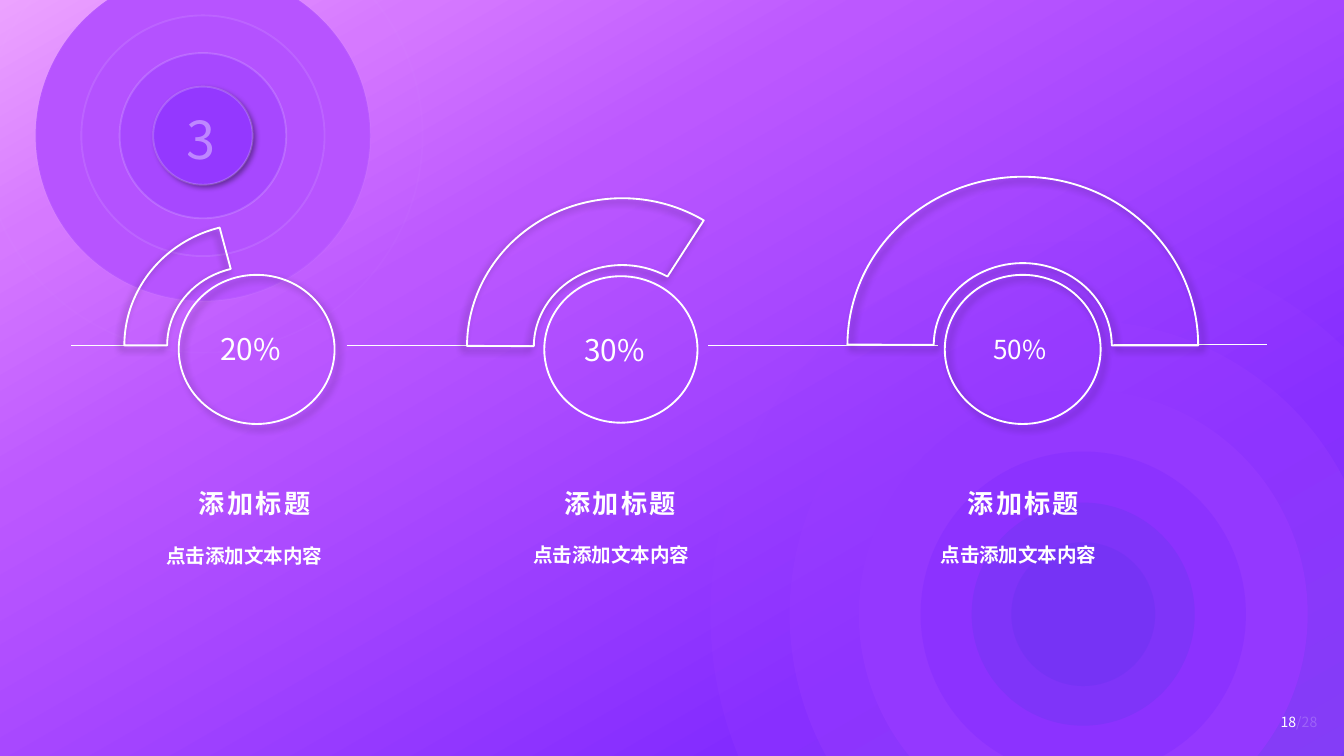
import pptx
import pptx.util
import pptx.dml.color
import pptx.enum.shapes
import pptx.enum.text
import pptx.oxml
import pptx.oxml.ns
from lxml import etree

Inches, Pt = pptx.util.Inches, pptx.util.Pt
RGBColor = pptx.dml.color.RGBColor
MSO_SHAPE = pptx.enum.shapes.MSO_SHAPE
CENTER = pptx.enum.text.PP_ALIGN.CENTER
qn = pptx.oxml.ns.qn

FONT = "Noto Sans CJK SC"
WHITE = RGBColor(0xFF, 0xFF, 0xFF)
BLACK = RGBColor(0, 0, 0)
VIOLET = RGBColor(0x94, 0x38, 0xFF)

WIDTH = 10
HEIGHT = WIDTH * 9 / 16
GRADIENT_ANGLE = 60
GRADIENT = [
    (0, RGBColor(0xEC, 0xA3, 0xFF)),
    (16, RGBColor(0xD6, 0x79, 0xFF)),
    (33, RGBColor(0xBC, 0x58, 0xFF)),
    (77, RGBColor(0x83, 0x2B, 0xFF)),
    (100, RGBColor(0x6D, 0x3F, 0xEF)),
]

# Shadows: blur, distance (points), direction (degrees)
BADGE_SHADOW = (3, 2, 45)
RIGHT_SHADOW = (4, 3, 45)
LEFT_SHADOW = (4, 3, 135)

# Rings: width, height, fill, fill opacity, outline opacity, shadow
BADGE_CENTER = (1.51, 1.01)
BADGE_RINGS = [
    (2.49, 2.46, RGBColor(0xB7, 0x54, 0xFF), 100, 4, None),
    (1.81, 1.79, RGBColor(0xB4, 0x52, 0xFF), 100, 9, None),
    (1.24, 1.23, RGBColor(0xA7, 0x48, 0xFF), 100, 16, None),
    (0.74, 0.73, VIOLET, 100, 18, BADGE_SHADOW),
    (3.27, 3.23, None, 100, 2, None),
]
GLOW_CENTER = (8.06, 4.57)
GLOW_RINGS = [
    (5.55, RGBColor(0x9C, 0x3F, 0xFF), 20),
    (4.37, RGBColor(0x99, 0x3C, 0xFF), 40),
    (3.34, VIOLET, 100),
    (2.42, RGBColor(0x87, 0x2E, 0xFF), 60),
    (1.66, RGBColor(0x77, 0x36, 0xF6), 60),
    (1.07, RGBColor(0x69, 0x33, 0xF1), 40),
]

# Baseline segments: left, right, y
BASELINE = [(0.53, 1.25, 2.57), (8.29, 9.43, 2.56), (5.27, 6.98, 2.57), (2.58, 3.98, 2.57)]

# Arc sweep in degrees, thickness in percent of the arc's size
TITLE, BODY = "添加标题", "点击添加文本内容"
GAUGES = [
    dict(label="20%", size=16, label_box=(1.54, 2.41, 0.71, 0.37), center=1.91,
         circle=(1.16, 1.11), circle_shadow=RIGHT_SHADOW, arc_center=(1.87, 2.57),
         arc=(1.89, 1.81), sweep=(180, 254.92), thickness=17.6, arc_shadow=LEFT_SHADOW,
         title_left=1.37, body=(0.82, 4)),
    dict(label="30%", size=16, label_box=(4.25, 2.42, 0.72, 0.37), center=4.62,
         circle=(1.14, 1.09), circle_shadow=None, arc_center=(4.63, 2.58),
         arc=(2.31, 2.21), sweep=(180.33, 302.83), thickness=22.5, arc_shadow=LEFT_SHADOW,
         title_left=4.09, body=(3.55, 3.99)),
    dict(label="50%", size=14, label_box=(7.29, 2.43, 0.65, 0.34), center=7.61,
         circle=(1.16, 1.11), circle_shadow=RIGHT_SHADOW, arc_center=(7.61, 2.57),
         arc=(2.61, 2.51), sweep=(180.28, 359.99), thickness=25.6, arc_shadow=RIGHT_SHADOW,
         title_left=7.09, body=(6.58, 3.99)),
]
CIRCLE_Y = 2.6
PAGE, PAGE_TOTAL = "18", "/28"


def set_opacity(parent, percent):
    """Make the first colour below parent translucent."""
    if percent < 100:
        color = next(parent.iter(qn("a:srgbClr")))
        etree.SubElement(color, qn("a:alpha")).set("val", str(percent * 1000))


def add_shadow(shape, blur, distance, direction):
    effects = shape.element.spPr.find(qn("a:effectLst"))
    shadow = etree.SubElement(effects, qn("a:outerShdw"), blurRad=str(Pt(blur)),
                              dist=str(Pt(distance)), dir=str(direction * 60000),
                              algn="ctr", rotWithShape="0")
    color = etree.SubElement(shadow, qn("a:srgbClr"), val=str(BLACK))
    etree.SubElement(color, qn("a:alpha"), val="40000")


def add_centered(kind, center, size, fill=None, opacity=100, outline=None, shadow=None):
    """Add a shape around a centre point; outline is the opacity of its white line."""
    (x, y), (w, h) = center, size
    shape = slide.shapes.add_shape(kind, Inches(x - w / 2), Inches(y - h / 2), Inches(w), Inches(h))
    shape.shadow.inherit = False
    if fill is None:
        shape.fill.background()
    else:
        shape.fill.solid()
        shape.fill.fore_color.rgb = fill
        set_opacity(shape.element.spPr.find(qn("a:solidFill")), opacity)
    if outline is None:
        shape.line.fill.background()
    else:
        shape.line.color.rgb = WHITE
        shape.line.width = Pt(1)
        set_opacity(shape.element.spPr.find(qn("a:ln")), outline)
    if shadow:
        add_shadow(shape, *shadow)
    return shape


def add_text(box, runs, size, bold=False, align=None, wrap=True, spacing=0):
    """Add a text box; runs are (text, opacity) pairs."""
    frame = slide.shapes.add_textbox(*map(Inches, box)).text_frame
    frame.word_wrap = wrap
    paragraph = frame.paragraphs[0]
    paragraph.alignment = align
    for text, opacity in runs:
        run = paragraph.add_run()
        run.text = text
        run.font.size = Pt(size)
        run.font.bold = bold
        run.font.name = FONT
        run.font.color.rgb = WHITE
        properties = run._r.get_or_add_rPr()
        set_opacity(properties, opacity)
        properties.find(qn("a:latin")).addnext(
            etree.Element(qn("a:ea"), typeface=FONT))
        if spacing:
            properties.set("spc", str(round(spacing * 100)))
    return frame


def add_backdrop():
    backdrop = add_centered(MSO_SHAPE.RECTANGLE, (WIDTH / 2, HEIGHT / 2), (WIDTH, HEIGHT))
    stops = "".join(f'<a:gs pos="{position * 1000}"><a:srgbClr val="{color}"/></a:gs>'
                    for position, color in GRADIENT)
    gradient = pptx.oxml.parse_xml(
        f'<a:gradFill {pptx.oxml.ns.nsdecls("a")}><a:gsLst>{stops}</a:gsLst>'
        f'<a:lin ang="{GRADIENT_ANGLE * 60000}" scaled="0"/></a:gradFill>')
    properties = backdrop.element.spPr
    properties.replace(properties.find(qn("a:noFill")), gradient)


presentation = pptx.Presentation()
presentation.slide_width, presentation.slide_height = Inches(WIDTH), Inches(HEIGHT)
slide = presentation.slides.add_slide(presentation.slide_layouts[6])

add_backdrop()
for width, height, fill, opacity, outline, shadow in BADGE_RINGS:
    add_centered(MSO_SHAPE.OVAL, BADGE_CENTER, (width, height), fill, opacity, outline, shadow)
add_text((1.29, 0.75, 0.23, 0.58), [("3", 40)], 28, spacing=6)
for diameter, fill, opacity in GLOW_RINGS:
    add_centered(MSO_SHAPE.OVAL, GLOW_CENTER, (diameter, diameter), fill, opacity)

for left, right, y in BASELINE:
    segment = slide.shapes.add_connector(pptx.enum.shapes.MSO_CONNECTOR.STRAIGHT,
                                         Inches(left), Inches(y), Inches(right), Inches(y))
    segment.line.color.rgb = WHITE
    segment.line.width = Pt(0.25)
    etree.SubElement(segment.element.spPr, qn("a:effectLst"))

for gauge in GAUGES:
    arc = add_centered(MSO_SHAPE.BLOCK_ARC, gauge["arc_center"], gauge["arc"],
                       outline=100, shadow=gauge["arc_shadow"])
    start, end = gauge["sweep"]
    arc.adjustments[0] = start * 0.6  # 60000 units per degree, scaled by 100000
    arc.adjustments[1] = end * 0.6
    arc.adjustments[2] = gauge["thickness"] / 100

for gauge in GAUGES:
    add_centered(MSO_SHAPE.OVAL, (gauge["center"], CIRCLE_Y), gauge["circle"],
                 outline=100, shadow=gauge["circle_shadow"])
    add_text(gauge["label_box"], [(gauge["label"], 100)], gauge["size"], wrap=False)
    add_text((gauge["title_left"], 3.58, 1.05, 0.34), [(TITLE, 100)], 14, bold=True,
             align=CENTER, wrap=False, spacing=1.2)
    body = add_text((*gauge["body"], 2.14, 0.29), [(BODY, 100)], 10.5, bold=True, align=CENTER)
    body.margin_right = Inches(0.24)

add_text((9.43, 5.26, 0.54, 0.23), [(PAGE, 100), (PAGE_TOTAL, 20)], 7.5)

presentation.save("out.pptx")
